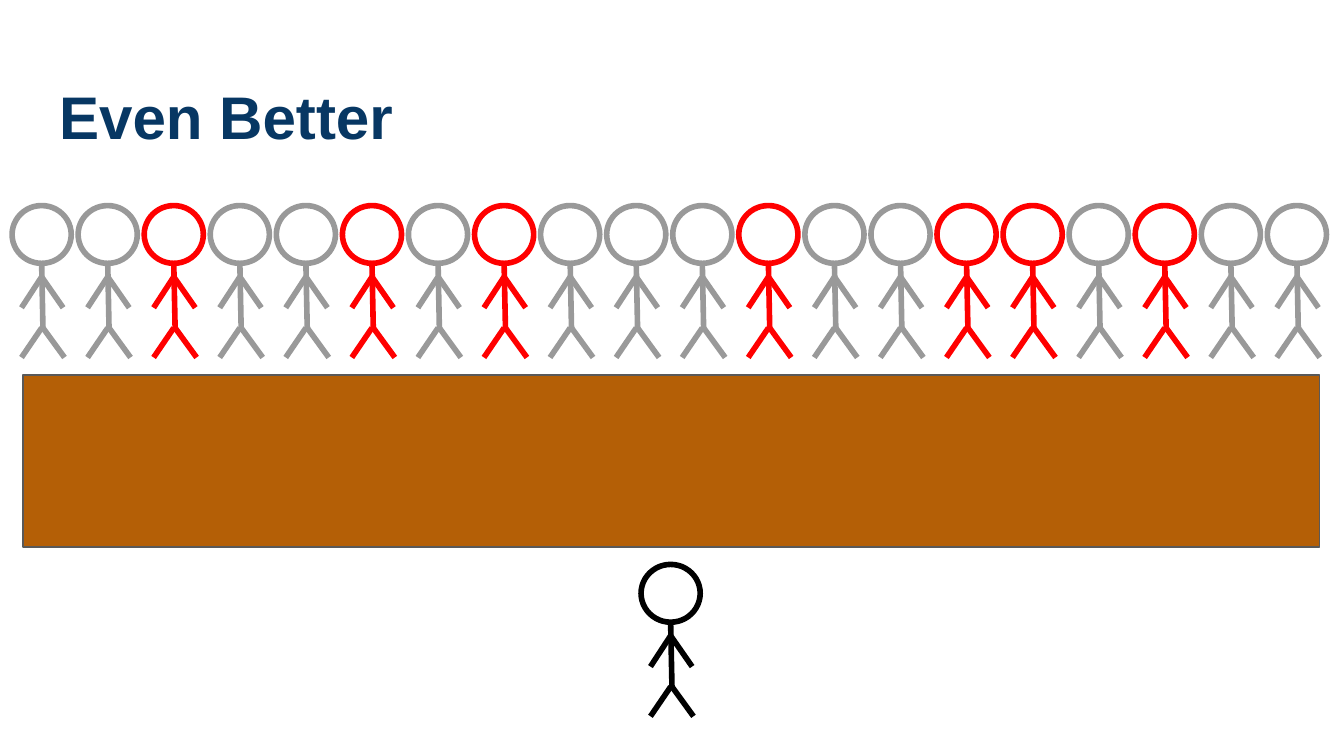
from pptx import Presentation
from pptx.dml.color import RGBColor
from pptx.enum.shapes import MSO_CONNECTOR as CONN, MSO_SHAPE as SHAPE
from pptx.enum.text import MSO_ANCHOR as ANCHOR, PP_ALIGN as ALIGN
from pptx.util import Inches, Pt
from lxml.etree import SubElement
from pptx.oxml.ns import qn

COLORS = {
    "navy": "073763",
    "grey": "999999",
    "red": "FF0000",
    "black": "000000",
    "brown": "B45F06",
    "edge": "595959",
}
LIMBS = [
    ((0.22, 0.43), (0.23, 0.92)),
    ((0.07, 1.13), (0.22, 0.91)),
    ((0.39, 1.13), (0.23, 0.91)),
    ((0.07, 0.76), (0.22, 0.53)),
    ((0.38, 0.76), (0.22, 0.53)),
]
CROWD_SIZE = 20
RED_PEOPLE = {2, 5, 7, 11, 14, 15, 17}


def rgb(name):
    return RGBColor.from_string(COLORS[name])


def set_line(sp, color, width):
    sp.line.color.rgb = rgb(color)
    sp.line.width = Pt(width)


def add_person(slide, left, top, color):
    person = slide.shapes.add_group_shape()
    head = person.shapes.add_shape(
        SHAPE.OVAL, Inches(left), Inches(top), Inches(0.44), Inches(0.43))
    head.shadow.inherit = False
    head.fill.background()
    set_line(head, color, 3)
    for (x1, y1), (x2, y2) in LIMBS:
        limb = person.shapes.add_connector(
            CONN.STRAIGHT, Inches(left + x1), Inches(top + y1),
            Inches(left + x2), Inches(top + y2))
        set_line(limb, color, 3)
        SubElement(limb._element.spPr, qn("a:effectLst"))


def add_crowd(slide, left, top, width):
    pitch = width / (CROWD_SIZE - 1)
    for i in range(CROWD_SIZE):
        color = "red" if i in RED_PEOPLE else "grey"
        add_person(slide, left + i * pitch, top, color)


def add_table_top(slide, left, top, width, height):
    sp = slide.shapes.add_shape(
        SHAPE.RECTANGLE, Inches(left), Inches(top), Inches(width), Inches(height))
    sp.shadow.inherit = False
    sp.fill.solid()
    sp.fill.fore_color.rgb = rgb("brown")
    set_line(sp, "edge", 0.75)


def set_title(slide, text, left, top, width, height):
    title = slide.shapes.title
    title.left, title.top = Inches(left), Inches(top)
    title.width, title.height = Inches(width), Inches(height)
    tf = title.text_frame
    tf.text = text
    tf.word_wrap = True
    tf.vertical_anchor = ANCHOR.TOP
    tf.margin_left = tf.margin_right = Inches(0.1)
    tf.margin_top = tf.margin_bottom = Inches(0.1)
    p = tf.paragraphs[0]
    p.alignment = ALIGN.LEFT
    p.font.name = "Arial"
    p.font.size = Pt(32.2)
    p.font.bold = True
    p.font.color.rgb = rgb("navy")


prs = Presentation()
prs.slide_width = Inches(10)
prs.slide_height = prs.slide_width * 9 // 16
s = prs.slides.add_slide(prs.slide_layouts[5])
set_title(s, "Even Better", 0.34, 0.49, 9.32, 0.63)
add_crowd(s, 0.09, 1.53, 9.34)
add_table_top(s, 0.17, 2.79, 9.65, 1.28)
add_person(s, 4.77, 4.2, "black")
prs.save("out.pptx")
